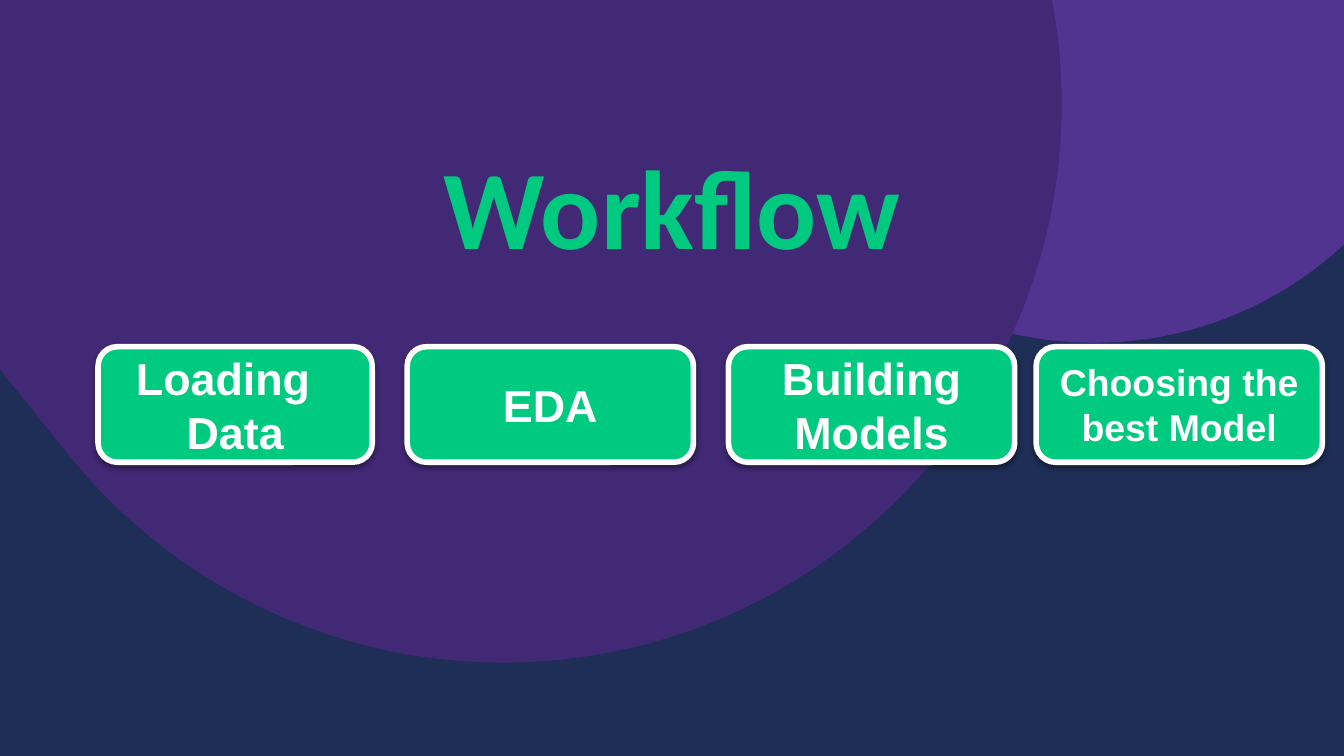
from lxml.etree import SubElement
from pptx import Presentation
from pptx.dml.color import RGBColor
from pptx.enum.shapes import MSO_SHAPE
from pptx.enum.text import MSO_ANCHOR, PP_ALIGN
from pptx.oxml.ns import qn
from pptx.util import Inches, Pt

COLORS = {
    "navy": "1F2E56",
    "purple": "513390",
    "green": "00CA7F",
    "white": "FFFFFF",
    "black": "000000",
}

# Left edge, width, text size, lines of each step
STEPS = [
    (0.73, 2.04, 24, ["Loading", "Data"]),
    (3.03, 2.13, 24, ["EDA"]),
    (5.42, 2.13, 24, ["Building Models"]),
    (7.71, 2.13, 20, ["Choosing the best Model"]),
]


def paint(fill, name):
    fill.solid()
    fill.fore_color.rgb = RGBColor.from_string(COLORS[name])


def style(para, font, size, color):
    para.alignment = PP_ALIGN.CENTER
    para.font.name = font
    para.font.size = Pt(size)
    para.font.bold = True
    para.font.color.rgb = RGBColor.from_string(COLORS[color])


def add_drop(slide, left, top, size, angle, color, alpha=100):
    drop = slide.shapes.add_shape(
        MSO_SHAPE.TEAR, Inches(left), Inches(top), Inches(size), Inches(size))
    drop.rotation = angle
    drop.shadow.inherit = False
    drop.line.fill.background()
    paint(drop.fill, color)
    if alpha < 100:
        tone = drop.fill._xPr.find(".//" + qn("a:srgbClr"))
        SubElement(tone, qn("a:alpha"), val=str(alpha * 1000))


def add_shadow(shape):
    shape.shadow.inherit = False
    effects = shape._element.spPr.find(qn("a:effectLst"))
    outer = SubElement(effects, qn("a:outerShdw"), blurRad=str(Pt(3.1)),
                       dist=str(Pt(1.6)), dir="5400000", rotWithShape="0")
    tone = SubElement(outer, qn("a:srgbClr"), val=COLORS["black"])
    SubElement(tone, qn("a:alpha"), val="38000")


def add_step(slide, left, width, size, lines):
    box = slide.shapes.add_shape(
        MSO_SHAPE.ROUNDED_RECTANGLE,
        Inches(left), Inches(2.58), Inches(width), Inches(0.86))
    paint(box.fill, "green")
    paint(box.line.fill, "white")
    box.line.width = Pt(3)
    add_shadow(box)
    frame = box.text_frame
    frame.word_wrap = True
    frame.vertical_anchor = MSO_ANCHOR.MIDDLE
    frame.text = "\n".join(lines)
    for para in frame.paragraphs:
        style(para, "Arial", size, "white")
    return frame


def set_title(slide, text):
    title = slide.shapes.title
    title.left, title.top = Inches(-0.79), Inches(1.41)
    title.width, title.height = Inches(11.58), Inches(0.71)
    frame = title.text_frame
    frame.text = text
    frame.word_wrap = True
    frame.vertical_anchor = MSO_ANCHOR.BOTTOM
    frame.margin_left = frame.margin_right = Inches(0.1)
    frame.margin_top = frame.margin_bottom = Inches(0.1)
    style(frame.paragraphs[0], "Calibri", 60, "green")
    # Bring the title to the front
    slide.shapes._spTree.append(title._element)


def main():
    deck = Presentation()
    deck.slide_width = Inches(10)
    deck.slide_height = deck.slide_width * 9 // 16
    slide = deck.slides.add_slide(deck.slide_layouts[5])
    paint(slide.background.fill, "navy")

    # Backdrop: small drop, then a large one darkened by a veil
    add_drop(slide, 5.41, -2.91, 5.46, 295.2, "purple")
    for color, alpha in [("purple", 100), ("black", 18)]:
        add_drop(slide, -0.41, -3.38, 8.31, 231.2, color, alpha)

    # Workflow steps; the first line of the first step sits left of centre
    frames = [add_step(slide, *step) for step in STEPS]
    for para, inset in zip(frames[0].paragraphs, (0.18, 0)):
        para._p.get_or_add_pPr().set("marR", str(Inches(inset)))

    set_title(slide, "Workflow")
    deck.save("out.pptx")


if __name__ == "__main__":
    main()
